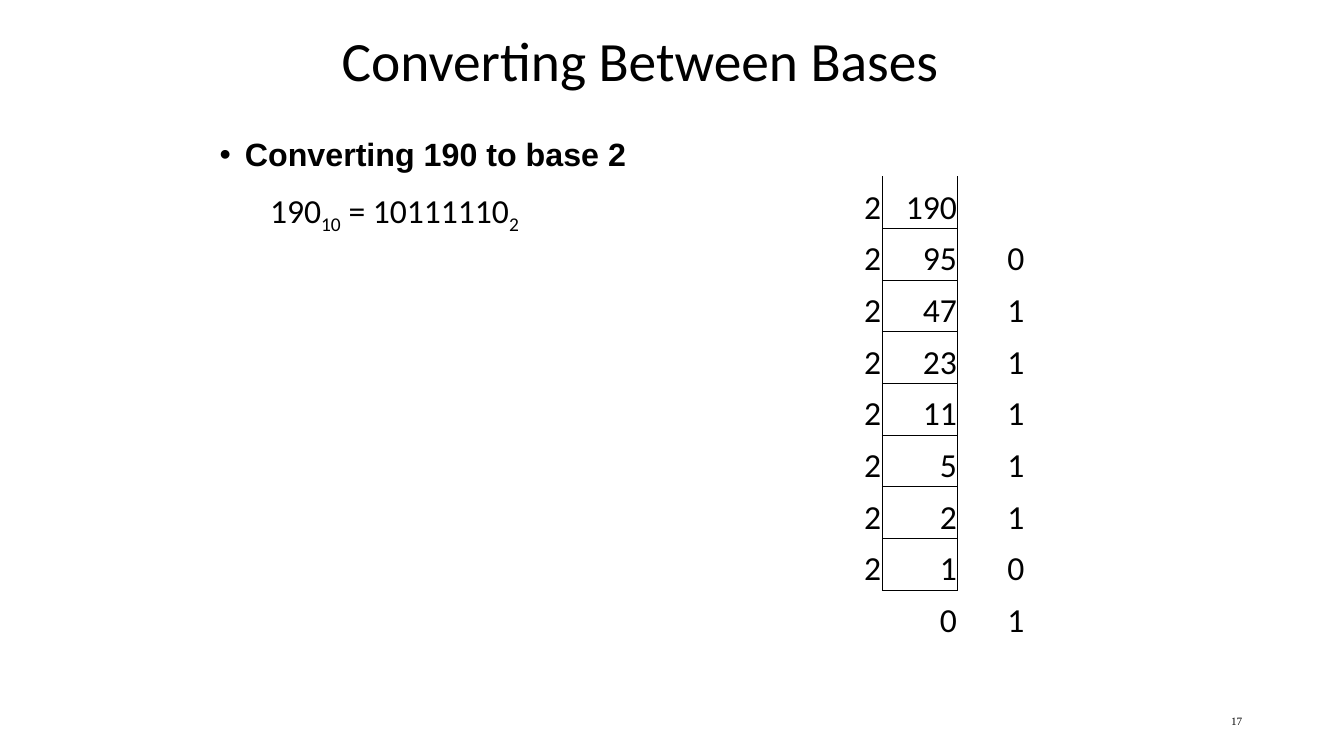
from lxml import etree
from pptx import Presentation
from pptx.dml.color import RGBColor
from pptx.enum.text import MSO_ANCHOR, PP_ALIGN
from pptx.oxml.ns import qn
from pptx.util import Inches, Pt

BLACK = RGBColor(0, 0, 0)
RIGHT = PP_ALIGN.RIGHT
MIDDLE, BOTTOM = MSO_ANCHOR.MIDDLE, MSO_ANCHOR.BOTTOM
PLAIN_TABLE_STYLE = "{2D5ABB26-0587-4C30-8999-92F81FD0307C}"

NUMBER, BASE = 190, 2
COLUMN_WIDTHS = (0.67, 0.75, 0.67)
TABLE_HEIGHT = 4.62


def set_values(target, values):
    for name, value in values.items():
        setattr(target, name, value)


def add_span(para, text, size, font="Calibri", bold=False, subscript=False):
    span = para.add_run()
    span.text = text
    set_values(span.font, {"name": font, "size": Pt(size), "bold": bold})
    span.font.color.rgb = BLACK
    if subscript:
        span.font._element.set("baseline", "-25000")


def add_box(page, left, top, width, height, anchor=None):
    box = page.shapes.add_textbox(
        Inches(left), Inches(top), Inches(width), Inches(height))
    set_values(box.text_frame, {"word_wrap": True, "vertical_anchor": anchor})
    return box.text_frame


def set_indent(para, margin, hanging, bullet=None):
    properties = para._p.get_or_add_pPr()
    properties.set("marL", str(Inches(margin)))
    properties.set("indent", str(-Inches(hanging)))
    if bullet:
        font = etree.SubElement(properties, qn("a:buFont"))
        font.set("typeface", "Arial")
        etree.SubElement(properties, qn("a:buChar")).set("char", bullet)


def add_title(page, text):
    para = add_box(page, 3.29, 0.33, 6.75, 0.6, MIDDLE).paragraphs[0]
    para.line_spacing = 0.9
    add_span(para, text, 39.6)


def add_body(page):
    frame = add_box(page, 2.08, 1.33, 4.92, 4.83)
    heading = frame.paragraphs[0]
    set_indent(heading, 0.25, 0.25, "•")
    heading.line_spacing = 0.9
    add_span(heading, "Converting 190 to base 2", 23, "Arial", bold=True)

    result = frame.add_paragraph()
    set_indent(result, 0.75, 0.25)
    set_values(result, {"line_spacing": 0.9, "space_before": Pt(12)})
    for text, subscript in (("190", False), ("10", True),
                            (" = 10111110", False), ("2", True)):
        add_span(result, text, 24, subscript=subscript)


def division_rows():
    """Return divisor, quotient and remainder texts, down to quotient zero."""
    rows = [[str(BASE), str(NUMBER), ""]]
    quotient = NUMBER
    while quotient:
        quotient, remainder = divmod(quotient, BASE)
        rows.append([str(BASE) if quotient else "", str(quotient), str(remainder)])
    return rows


def add_borders(cell, sides):
    """Draw thin lines on the sides, given in the order L, R, T, B."""
    properties = cell._tc.get_or_add_tcPr()
    for side in sides:
        line = etree.SubElement(properties, qn(f"a:ln{side}"))
        line.set("w", str(Pt(0.5)))
        fill = etree.SubElement(line, qn("a:solidFill"))
        etree.SubElement(fill, qn("a:srgbClr")).set("val", str(BLACK))


def cell_sides(row, column, last_row):
    if column == 0:
        return "R" if row < last_row else ""
    if column == 1:
        return ("L" if row < last_row else "") + ("T" if row else "") + (
            "B" if row < last_row else "")
    return ""


def add_division_table(page):
    rows = division_rows()
    table = page.shapes.add_table(
        len(rows), len(COLUMN_WIDTHS), Inches(8.08), Inches(1.75),
        Inches(sum(COLUMN_WIDTHS)), Inches(TABLE_HEIGHT)).table
    set_values(table, {"first_row": False, "horz_banding": False})
    table._tbl.tblPr.find(qn("a:tableStyleId")).text = PLAIN_TABLE_STYLE
    for column, width in zip(table.columns, COLUMN_WIDTHS):
        column.width = Inches(width)
    for row, texts in enumerate(rows):
        table.rows[row].height = Inches(TABLE_HEIGHT / len(rows))
        for column, text in enumerate(texts):
            cell = table.cell(row, column)
            add_borders(cell, cell_sides(row, column, len(rows) - 1))
            cell.fill.background()
            if text:
                set_values(cell, {
                    "vertical_anchor": BOTTOM, "margin_left": Inches(0.01),
                    "margin_right": Inches(0.01), "margin_top": Inches(0.01),
                    "margin_bottom": 0})
                para = cell.text_frame.paragraphs[0]
                para.alignment = RIGHT
                add_span(para, text, 24)


def add_page_number(page, text):
    para = add_box(page, 9.42, 6.95, 3, 0.4, MIDDLE).paragraphs[0]
    para.alignment = RIGHT
    add_span(para, text, 8, "Times New Roman")


def main():
    deck = Presentation()
    set_values(deck, {"slide_width": Inches(13.33), "slide_height": Inches(7.5)})
    page = deck.slides.add_slide(deck.slide_layouts[6])
    add_page_number(page, "17")
    add_body(page)
    add_title(page, "Converting Between Bases")
    add_division_table(page)
    deck.save("out.pptx")


if __name__ == "__main__":
    main()
